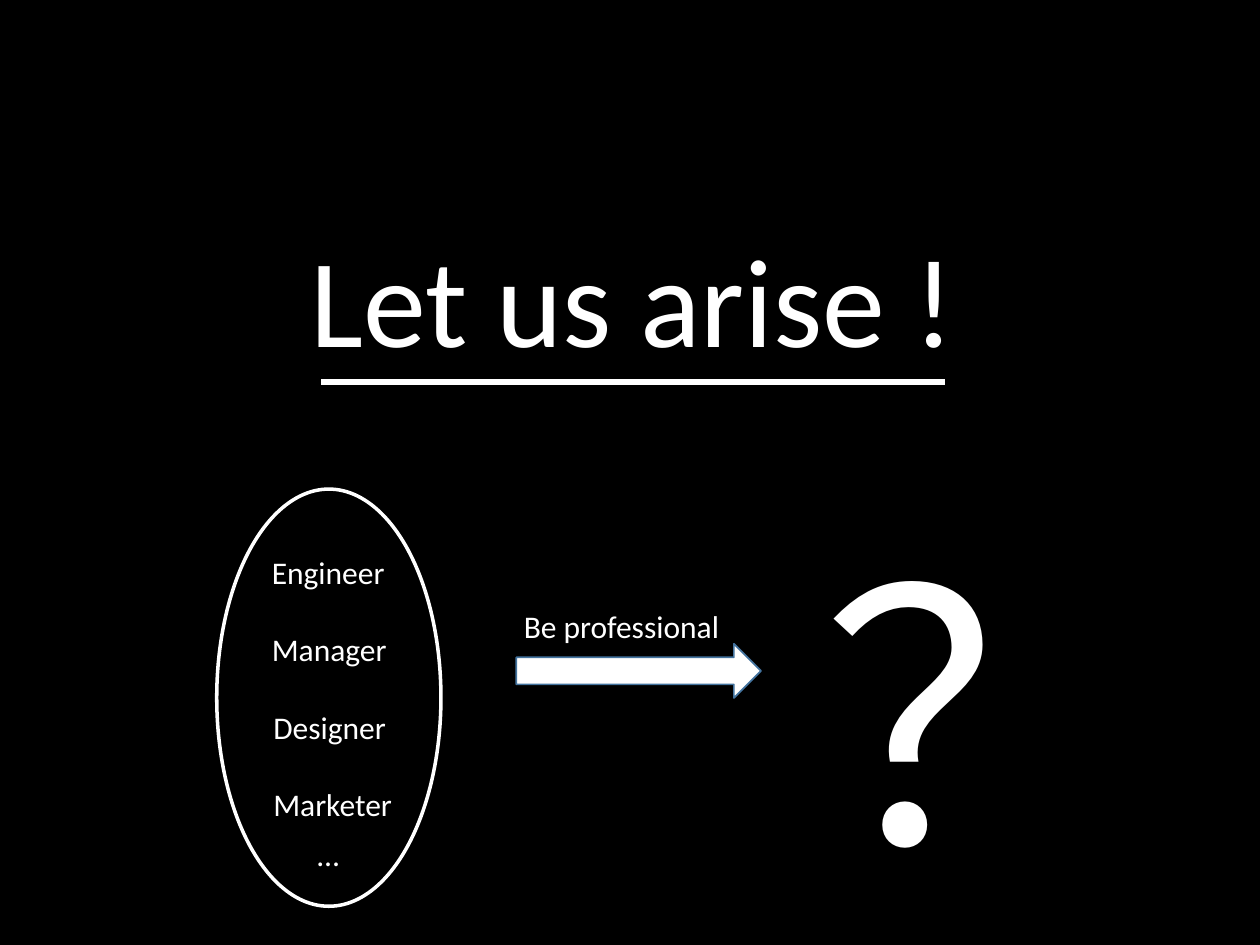
from dataclasses import dataclass

import pptx
import pptx.dml.color
import pptx.enum.shapes
import pptx.enum.text
import pptx.util
from lxml import etree
from pptx.util import Cm, Pt

WHITE = "FFFFFF"
BLACK = "000000"
ARROW_EDGE = "43739E"
FONT = "Calibri"
SHAPE = pptx.enum.shapes.MSO_SHAPE

LABEL_HEIGHT = 1.02
ROLE_TOP = 11.02
ROLE_PITCH = 1.56


@dataclass
class Box:
    """Position and size in centimetres."""
    left: float
    top: float
    width: float
    height: float = LABEL_HEIGHT

    def lengths(self) -> list:
        return [Cm(v) for v in (self.left, self.top, self.width, self.height)]


@dataclass
class Role:
    name: str
    left: float
    width: float


ROLES = [
    Role("Engineer", 5.23, 2.82),
    Role("Manager", 5.23, 2.84),
    Role("Designer", 5.26, 2.82),
    Role("Marketer", 5.26, 2.92),
]


def rgb(value: str) -> pptx.dml.color.RGBColor:
    return pptx.dml.color.RGBColor.from_string(value)


def add_text(s, text: str, box: Box, *, size: float = 18, color: str = WHITE):
    sp = s.shapes.add_textbox(*box.lengths())
    tf = sp.text_frame
    tf.word_wrap = False
    tf.auto_size = pptx.enum.text.MSO_AUTO_SIZE.SHAPE_TO_FIT_TEXT
    r = tf.paragraphs[0].add_run()
    r.text = text
    r.font.name = FONT
    r.font.size = Pt(size)
    r.font.color.rgb = rgb(color)
    return sp


def add_shape(s, kind, box: Box, *, line: str, weight: float, fill: str | None = None):
    sp = s.shapes.add_shape(kind, *box.lengths())
    sp.shadow.inherit = False
    if fill:
        sp.fill.solid()
        sp.fill.fore_color.rgb = rgb(fill)
    else:
        sp.fill.background()
    sp.line.color.rgb = rgb(line)
    sp.line.width = Pt(weight)
    return sp


def add_rule(s, left: float, right: float, y: float, *, color: str, weight: float):
    """Draw a horizontal line without a shadow."""
    kind = pptx.enum.shapes.MSO_CONNECTOR.STRAIGHT
    rule = s.shapes.add_connector(kind, Cm(left), Cm(y), Cm(right), Cm(y))
    rule.line.color.rgb = rgb(color)
    rule.line.width = Pt(weight)
    etree.SubElement(rule._element.spPr, pptx.oxml.ns.qn("a:effectLst"))
    return rule


def main() -> None:
    prs = pptx.Presentation()
    prs.slide_width, prs.slide_height = Cm(25.4), Cm(19.05)
    s = prs.slides.add_slide(prs.slide_layouts[6])
    s.background.fill.solid()
    s.background.fill.fore_color.rgb = rgb(BLACK)

    add_text(s, "Let us arise !", Box(6.02, 4.34, 13.64, 3.33), size=72)
    add_rule(s, 6.48, 19.05, 7.7, color=WHITE, weight=3.5)

    add_shape(s, SHAPE.OVAL, Box(4.37, 9.86, 4.52, 8.41), line=WHITE, weight=2)
    for i, role in enumerate(ROLES):
        add_text(s, role.name, Box(role.left, ROLE_TOP + i * ROLE_PITCH, role.width))
    add_text(s, "…", Box(6.15, 16.71, 0.97))

    add_shape(s, SHAPE.RIGHT_ARROW, Box(10.41, 12.98, 4.93, 1.09),
              line=ARROW_EDGE, weight=1, fill=WHITE)
    add_text(s, "Be professional", Box(10.31, 12.12, 4.5))
    add_text(s, "？", Box(16.33, 9.93, 7.59, 8.76), size=199)

    prs.save("out.pptx")


if __name__ == "__main__":
    main()
